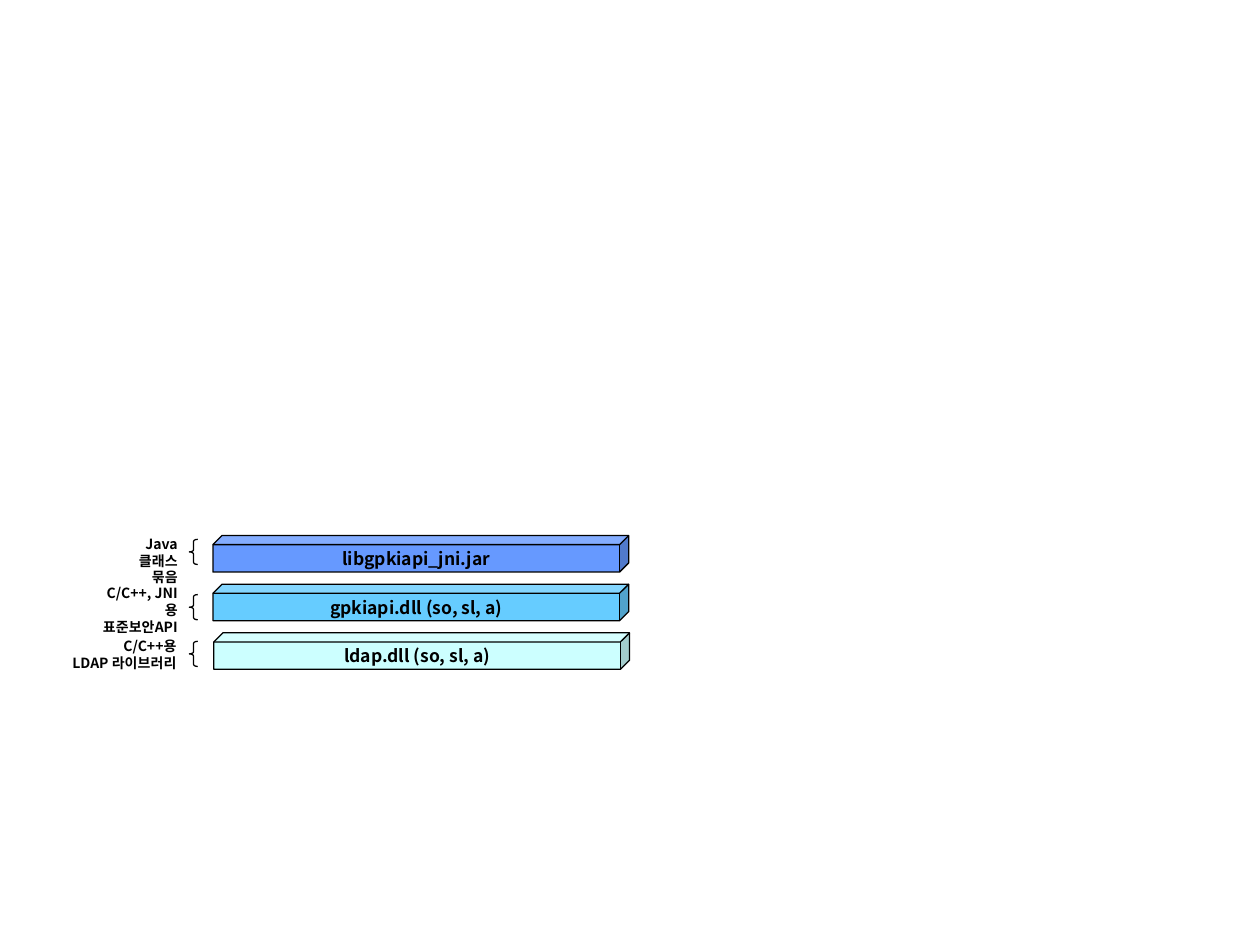
from pptx import Presentation
from pptx.dml.color import RGBColor
from pptx.enum.shapes import MSO_SHAPE
from pptx.enum.text import MSO_ANCHOR, PP_ALIGN
from pptx.util import Pt

FONT = "Noto Sans CJK KR"
CUBE_TOP, CUBE_STEP = 306, 27.8

# file name, fill, cube left, brace top, label paragraphs, label box (right, top, width)
LAYERS = [
    ("libgpkiapi_jni.jar", "6699FF", 121.7, 308.2,
     ["Java 클래스", "묶음"], (108.7, 302.4, 56)),
    ("gpkiapi.dll (so, sl, a)", "66CCFF", 121.7, 339.8,
     ["C/C++, JNI 용", "표준보안API"], (108.7, 330.5, 62)),
    ("ldap.dll (so, sl, a)", "CCFFFF", 122.2, 366.5,
     ["C/C++용\nLDAP 라이브러리"], (108, 360.7, 80)),
]


def color(value):
    return RGBColor.from_string(value)


def write(tf, paragraphs, size=10, align=PP_ALIGN.CENTER, anchor=MSO_ANCHOR.MIDDLE, wrap=True):
    tf.word_wrap = wrap
    tf.vertical_anchor = anchor
    for i, text in enumerate(paragraphs):
        p = tf.paragraphs[0] if i == 0 else tf.add_paragraph()
        p.text = text
        p.alignment = align
        for r in p.runs:
            r.font.name = FONT
            r.font.size = Pt(size)
            r.font.bold = True
            r.font.color.rgb = color("000000")


def add_outlined(s, kind, left, top, width, height, fill=None):
    sp = s.shapes.add_shape(kind, Pt(left), Pt(top), Pt(width), Pt(height))
    sp.shadow.inherit = False
    if fill:
        sp.fill.solid()
        sp.fill.fore_color.rgb = color(fill)
    else:
        sp.fill.background()
    sp.line.color.rgb = color("000000")
    sp.line.width = Pt(0.75)
    sp.adjustments[0] = 0.25
    return sp


def add_cube(s, left, top, text, fill):
    sp = add_outlined(s, MSO_SHAPE.CUBE, left, top, 237.6, 20.9, fill)
    write(sp.text_frame, [text], wrap=False)


def add_brace(s, top):
    add_outlined(s, MSO_SHAPE.LEFT_BRACE, 108.2, top, 4.8, 14.4)


def add_label(s, paragraphs, right, top, width):
    sp = s.shapes.add_textbox(Pt(right - width), Pt(top), Pt(width), Pt(26.6))
    write(sp.text_frame, paragraphs, size=8, align=PP_ALIGN.RIGHT, anchor=MSO_ANCHOR.TOP)


def main():
    prs = Presentation()
    prs.slide_width, prs.slide_height = Pt(720), Pt(540)
    s = prs.slides.add_slide(prs.slide_layouts[6])

    # Library layers, drawn from the bottom of the stack up
    for i, (name, fill, left, brace_top, label, box) in reversed(list(enumerate(LAYERS))):
        add_cube(s, left, CUBE_TOP + i * CUBE_STEP, name, fill)
        add_brace(s, brace_top)
        add_label(s, label, *box)

    prs.save("out.pptx")


if __name__ == "__main__":
    main()
